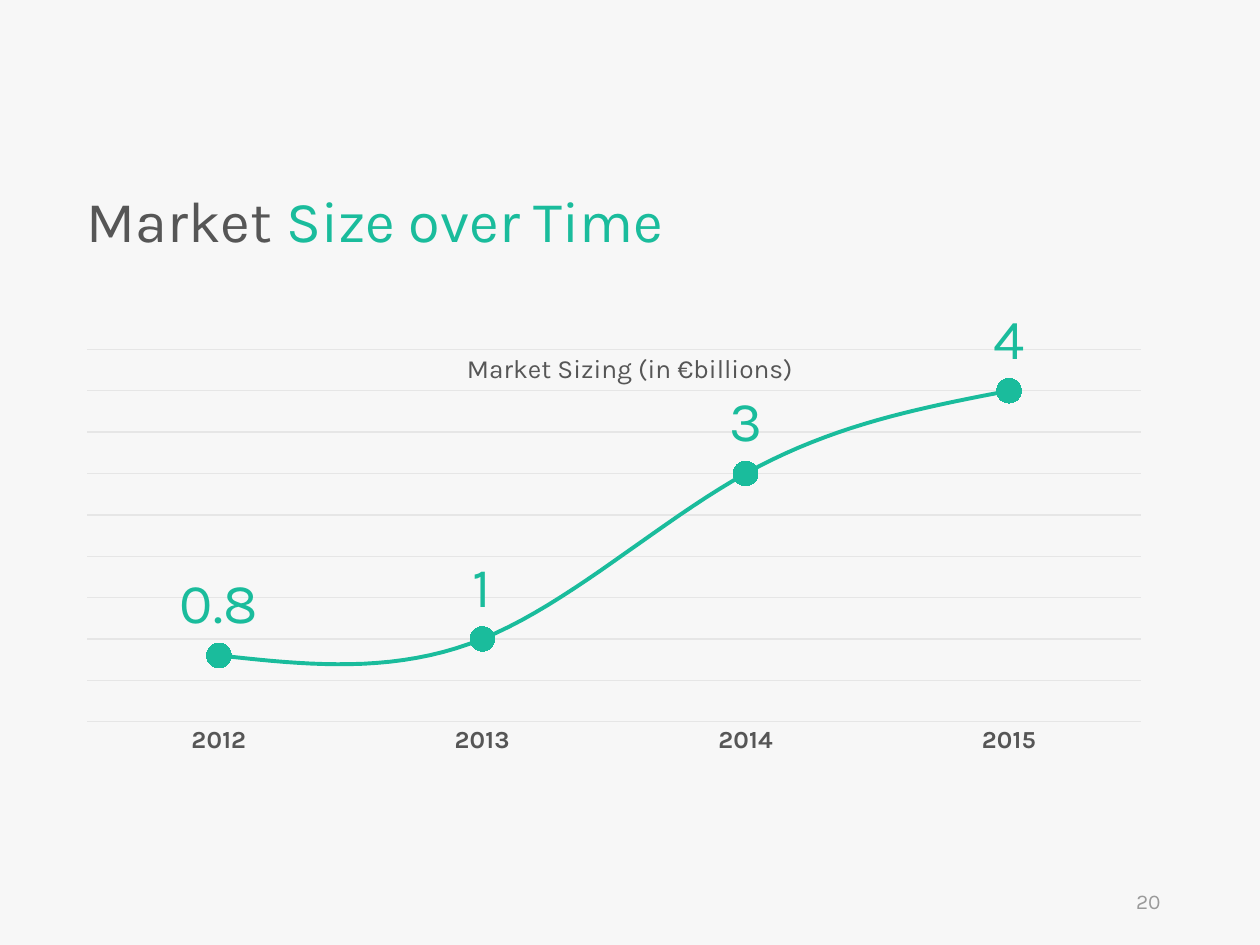
from lxml import etree
from pptx import Presentation
from pptx.chart.data import CategoryChartData
from pptx.dml.color import RGBColor
from pptx.enum.chart import XL_CHART_TYPE, XL_LABEL_POSITION, XL_MARKER_STYLE, XL_TICK_MARK
from pptx.enum.text import MSO_ANCHOR, PP_ALIGN
from pptx.oxml.ns import qn
from pptx.util import Inches, Pt

LINE_MARKERS = XL_CHART_TYPE.LINE_MARKERS
LABEL_ABOVE = XL_LABEL_POSITION.ABOVE
CIRCLE = XL_MARKER_STYLE.CIRCLE
NO_TICK = XL_TICK_MARK.NONE
TOP, MIDDLE = MSO_ANCHOR.TOP, MSO_ANCHOR.MIDDLE
LEFT, CENTER, RIGHT = PP_ALIGN.LEFT, PP_ALIGN.CENTER, PP_ALIGN.RIGHT

COLORS = {
    "background": "F7F7F7",
    "text": "565656",
    "accent": "1ABC9C",
    "grid": "E6E6E6",
    "muted": "9A9A9A",
}


class SlideBuilder:
    """Holds the style and the current slide."""

    font_name = "Karla"

    def __init__(self, page):
        self.page = page
        fill = page.background.fill
        fill.solid()
        fill.fore_color.rgb = self.color("background")

    def color(self, name):
        return RGBColor.from_string(COLORS[name])

    def style_font(self, font, size, color, bold=False):
        font.name = self.font_name
        font.size = Pt(size)
        font.bold = bold
        font.color.rgb = self.color(color)

    def style_line(self, line, color, width):
        line.color.rgb = self.color(color)
        line.width = Pt(width)

    def text(self, area, spans, size, align=LEFT, anchor=TOP, inset=0.1, line_spacing=None):
        """Add one paragraph made of (text, color) spans."""
        box = self.page.shapes.add_textbox(*map(Inches, area))
        frame = box.text_frame
        frame.word_wrap = True
        frame.vertical_anchor = anchor
        frame.margin_left = Inches(inset)
        para = frame.paragraphs[0]
        para.alignment = align
        if line_spacing:
            para.line_spacing = line_spacing
        for words, color in spans:
            span = para.add_run()
            span.text = words
            self.style_font(span.font, size, color)

    def line_chart(self, area, categories, values, plot_area, top, step):
        data = CategoryChartData()
        data.categories = categories
        data.add_series("Series 1", values)
        frame = self.page.shapes.add_chart(LINE_MARKERS, *map(Inches, area), data)
        chart = frame.chart
        chart.has_title = False
        chart.has_legend = False
        self.style_font(chart.font, 10, "text")
        self.place_plot(chart, plot_area)

        # Axes
        years = chart.category_axis
        years.major_tick_mark = NO_TICK
        years.minor_tick_mark = NO_TICK
        self.style_font(years.tick_labels.font, 14, "text", bold=True)
        self.style_line(years.format.line, "grid", 0.75)
        scale = chart.value_axis
        scale.minimum_scale, scale.maximum_scale = 0, top
        scale.major_unit = step
        scale.has_major_gridlines = True
        self.style_line(scale.major_gridlines.format.line, "grid", 0.75)
        scale.visible = False

        # Curve, markers and value labels
        plot = chart.plots[0]
        plot.vary_by_categories = False
        series = plot.series[0]
        series.smooth = True
        self.style_line(series.format.line, "accent", 2.25)
        marker = series.marker
        marker.style = CIRCLE
        marker.size = 14
        marker.format.fill.solid()
        marker.format.fill.fore_color.rgb = self.color("accent")
        marker.format.line.fill.background()
        labels = series.data_labels
        labels.show_value = True
        labels.position = LABEL_ABOVE
        self.style_font(labels.font, 32, "accent")

    def place_plot(self, chart, plot_area):
        """Fix the inner plot area, given as fractions of the chart."""
        plot = chart.element.find(".//" + qn("c:plotArea"))
        layout = plot.find(qn("c:layout"))
        if layout is None:
            layout = etree.Element(qn("c:layout"))
            plot.insert(0, layout)
        manual = etree.SubElement(layout, qn("c:manualLayout"))
        settings = [("layoutTarget", "inner"), ("xMode", "edge"), ("yMode", "edge")]
        settings += zip("xywh", plot_area)
        for tag, value in settings:
            etree.SubElement(manual, qn("c:" + tag)).set("val", str(value))


def main():
    deck = Presentation()
    deck.slide_width, deck.slide_height = Inches(10), Inches(7.5)
    slide = SlideBuilder(deck.slides.add_slide(deck.slide_layouts[6]))

    # Market size chart and its caption
    slide.line_chart(
        (0.52, 2.34, 8.62, 3.94),
        ["2012", "2013", "2014", "2015"],
        [0.8, 1, 3, 4],
        plot_area=(0.02, 0.11, 0.97, 0.75),
        top=4.5,
        step=0.5,
    )
    slide.text((3.21, 2.75, 3.58, 0.35), [("Market Sizing (in €billions)", "text")], 15, CENTER)

    # Title
    slide.text(
        (0.69, 1.48, 5.1, 0.6),
        [("Market ", "text"), ("Size over Time", "accent")],
        33,
        inset=0,
        line_spacing=0.9,
    )

    # Page number
    slide.text((7.06, 6.95, 2.25, 0.4), [("20", "muted")], 12, RIGHT, MIDDLE)

    deck.save("out.pptx")


if __name__ == "__main__":
    main()
